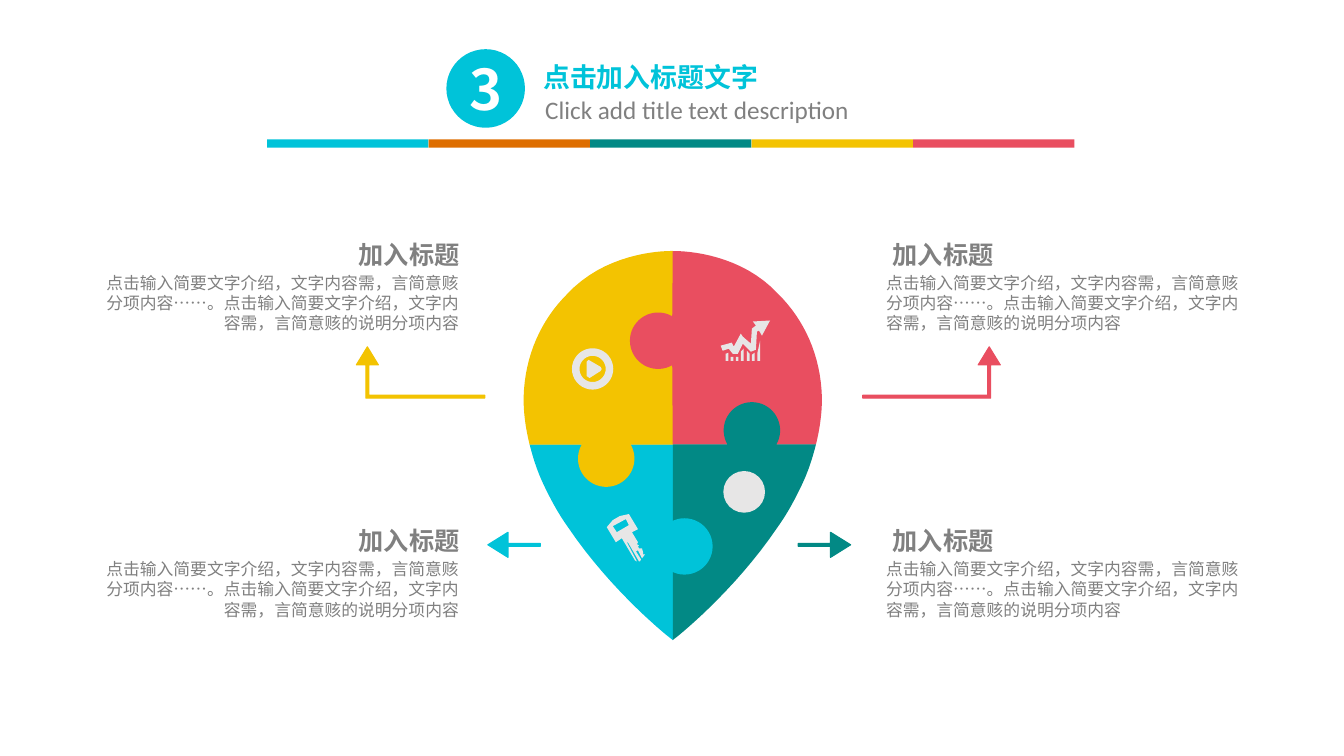
from math import cos, radians, sin

from lxml import etree
from pptx import Presentation
from pptx import util as u
from pptx.dml.color import RGBColor
from pptx.enum import shapes, text
from pptx.oxml.ns import qn

CYAN, ORANGE, TEAL, YELLOW, RED = "00C3D9", "DE6E00", "028985", "F3C301", "E94E60"
GREY, PALE, WHITE = "808080", "E7E6E6", "FFFFFF"
CJK = "Noto Sans CJK SC"
UNIT = 0.0254


def paint(shape, colour, outlined=False):
    shape.shadow.inherit = False
    shape.fill.solid()
    shape.fill.fore_color.rgb = RGBColor.from_string(colour)
    if outlined:
        shape.line.color.rgb = RGBColor.from_string(colour)
        shape.line.width = u.Pt(0.75)
    else:
        shape.line.fill.background()


def arc(x, y, radius, start=0, end=360):
    angles = [radians(start + (end - start) * step / 36) for step in range(37)]
    return [(x + radius * cos(angle), y + radius * sin(angle)) for angle in angles]


presentation = Presentation()
presentation.slide_width = u.Cm(33.87)
presentation.slide_height = u.Cm(19.05)
slide = presentation.slides.add_slide(presentation.slide_layouts[6])

badge = slide.shapes.add_shape(
    shapes.MSO_SHAPE.OVAL, u.Cm(11.25), u.Cm(1.24), u.Cm(1.98), u.Cm(1.98))
paint(badge, CYAN)

for index, colour in enumerate([CYAN, ORANGE, TEAL, YELLOW, RED]):
    bar = slide.shapes.add_shape(
        shapes.MSO_SHAPE.RECTANGLE, u.Cm(6.73 + 4.07 * index), u.Cm(3.51), u.Cm(4.07), u.Cm(0.21))
    paint(bar, colour)

outlines = []

for tip, end, inward, colour in [(364.5, 481, 1, YELLOW), (981.5, 856, -1, RED)]:
    near, far = tip + 1.5 * inward, tip - 1.5 * inward
    bent_arrow = [(near, 392), (near, 362), (tip + 11 * inward, 362), (tip, 344),
                  (tip - 11 * inward, 362), (far, 362), (far, 395), (end, 395), (end, 392)]
    outlines.append((colour, [bent_arrow], True))

for tip, outward, colour in [(844, 1, TEAL), (484, -1, CYAN)]:
    tail, neck = tip - 52 * outward, tip - 20 * outward
    straight_arrow = [(tail, 539), (tail, 542), (neck, 542), (neck, 553),
                      (tip, 540.5), (neck, 528), (neck, 539)]
    outlines.append((colour, [straight_arrow], True))

upper_curves = [[(0, 249), (15, 249), (68, 252), (105, 292)],
                [(105, 292), (130, 317), (147, 352), (148, 395)],
                [(148, 395), (148, 410), (146, 425), (142, 441)]]
lower_curves = [[(142, 441), (139, 453), (135, 466), (129, 479)],
                [(129, 479), (122, 494), (114, 509), (104, 523)],
                [(104, 523), (60, 588), (3, 633), (0, 635)]]
edges = []
for curves in (upper_curves, lower_curves):
    edge = []
    for a, b, c, d in curves:
        for step in range(17):
            t = step / 16
            weights = ((1 - t) ** 3, 3 * t * (1 - t) ** 2, 3 * t * t * (1 - t), t ** 3)
            edge.append(tuple(sum(w * point[axis] for w, point in zip(weights, (a, b, c, d)))
                              for axis in (0, 1)))
    edges.append(edge)
upper_edge, lower_edge = edges

quadrants = [
    (CYAN, -1, lower_edge, []),
    (YELLOW, -1, upper_edge[::-1], arc(601.5, 455, 28, -30, 210)),
    (RED, 1, upper_edge, arc(653, 338, 28, 60, 300)),
    (TEAL, 1, lower_edge, arc(746, 427, 28, 150, 390)),
]
for colour, side, edge, knob in quadrants:
    quadrant = [(667.5 + side * x, y) for x, y in edge] + [(667.5, 441)] + knob
    outlines.append((colour, [quadrant], False))

play = [arc(588, 366, 20.5), arc(588, 366, 13),
        [(582, 359), (584, 357), (596, 364), (597, 366), (596, 368), (585, 375), (582, 373)]]
key = [[(602, 523), (608, 516), (615, 512), (624, 510), (633, 525), (627, 528), (633, 538),
        (632, 540), (634, 541), (633, 542), (634, 544), (637, 544), (638, 548), (638, 550),
        (640, 550), (637, 554), (633, 546), (631, 547), (636, 555), (635, 557), (634, 557),
        (623, 538), (622, 538), (632, 557), (630, 556), (617, 534), (611, 538)],
       [(608, 522), (612, 528), (624, 521), (621, 515)]]
growth = [[(764, 318), (756, 333), (753, 328), (751, 329), (750, 347), (745, 349), (737, 341),
           (732, 351), (727, 351), (723, 346), (717, 348), (715, 343), (726, 340), (728, 344),
           (735, 331), (737, 334), (745, 341), (746, 326), (750, 323), (747, 319)]]
for left, left_top, right_top in [(720, 351, 350), (725, 354, 354), (730, 354, 354),
                                  (735, 349, 346), (741, 348, 351), (746, 352, 350),
                                  (751.5, 350, 338)]:
    growth.append([(left, 358), (left, left_top), (left + 2.7, right_top), (left + 2.7, 358)])
for icon in (play, key, growth):
    outlines.append((PALE, icon, False))

for colour, contours, outlined in outlines:
    scaled = [[(u.Cm(x * UNIT), u.Cm(y * UNIT)) for x, y in contour] for contour in contours]
    builder = slide.shapes.build_freeform(*scaled[0][0])
    builder.add_line_segments(scaled[0][1:])
    for contour in scaled[1:]:
        builder.move_to(*contour[0])
        builder.add_line_segments(contour[1:])
    paint(builder.convert_to_shape(), colour, outlined)

for left, top, diameter, colour in [(16.54, 13.06, 1.42, CYAN), (18.23, 11.87, 1.05, PALE)]:
    disc = slide.shapes.add_shape(
        shapes.MSO_SHAPE.OVAL, u.Cm(left), u.Cm(top), u.Cm(diameter), u.Cm(diameter))
    paint(disc, colour)

LEFT, CENTER, RIGHT = text.PP_ALIGN.LEFT, text.PP_ALIGN.CENTER, text.PP_ALIGN.RIGHT
description = "点击输入简要文字介绍，文字内容需，言简意赅分项内容……。点击输入简要文字介绍，文字内容需，言简意赅的说明分项内容"
labels = [
    (badge, None, "3", 40, CJK, WHITE, True, CENTER),
    (None, (13.49, 1.27, 7.32, 1.22), "点击加入标题文字", 24, CJK, CYAN, True, LEFT),
    (None, (13.49, 2.26, 8.53, 1.02), "Click add title text description", 18, "Calibri", GREY, False, LEFT),
]
for top in (5.91, 13.12):
    for heading_left, body_left, alignment in [(8.73, 2.17, RIGHT), (22.19, 22.08, LEFT)]:
        labels.append((None, (heading_left, top, 3.1, 1.02), "加入标题", 18, "Calibri", GREY, True, RIGHT))
        labels.append((None, (body_left, top + 0.84, 9.65, 1.8), description, 12, CJK, GREY, False, alignment))

for shape, box, words, size, font_name, colour, bold, alignment in labels:
    if shape is None:
        shape = slide.shapes.add_textbox(*[u.Cm(length) for length in box])
    frame = shape.text_frame
    frame.text = words
    frame.word_wrap = words != "加入标题"
    paragraph = frame.paragraphs[0]
    paragraph.alignment = alignment
    paragraph.line_spacing = u.Pt(size * 1.2)
    run = paragraph.runs[0]
    run.font.size = u.Pt(size)
    run.font.bold = bold
    run.font.color.rgb = RGBColor.from_string(colour)
    run.font.name = font_name
    properties = run._r.get_or_add_rPr()
    etree.SubElement(properties, qn("a:ea")).set("typeface", CJK)
    if size == 24:
        properties.set("cap", "small")
        frame.margin_left = frame.margin_right = u.Cm(0.2)
        frame.margin_top = frame.margin_bottom = u.Cm(0.1)

presentation.save("out.pptx")
